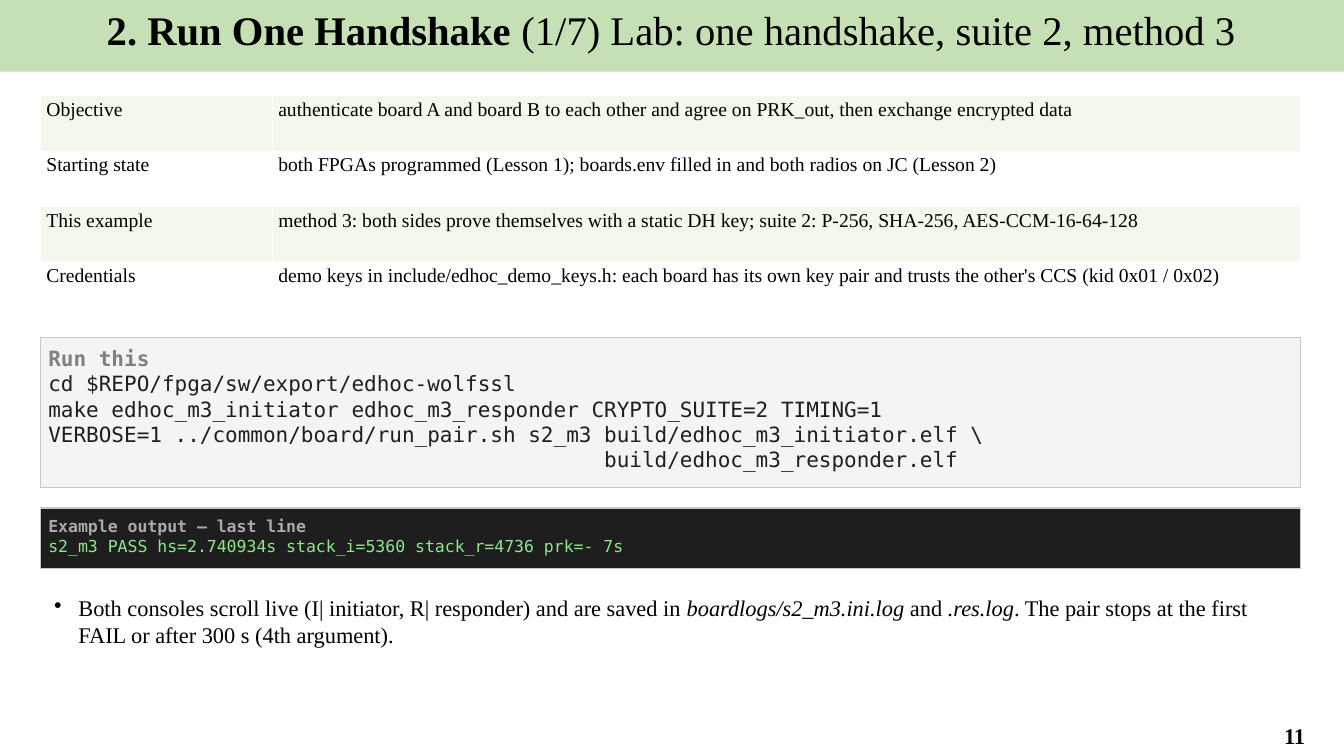
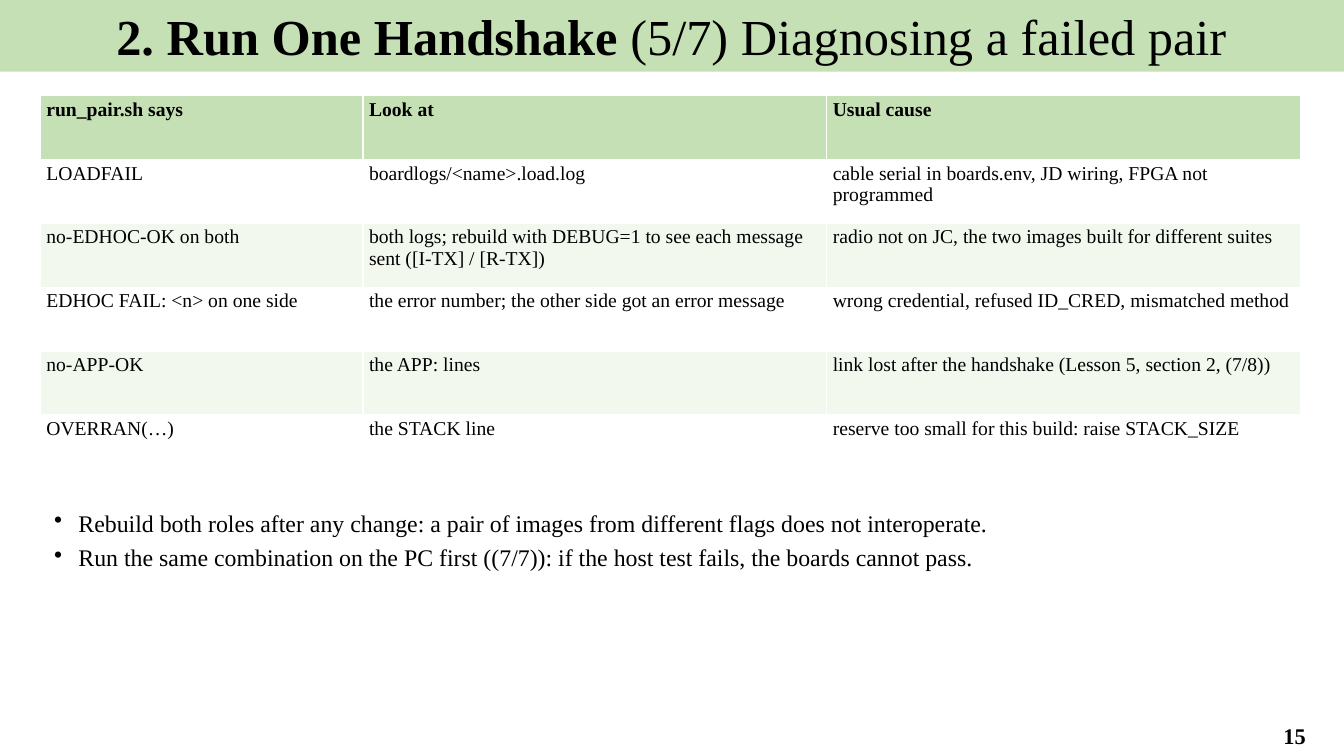
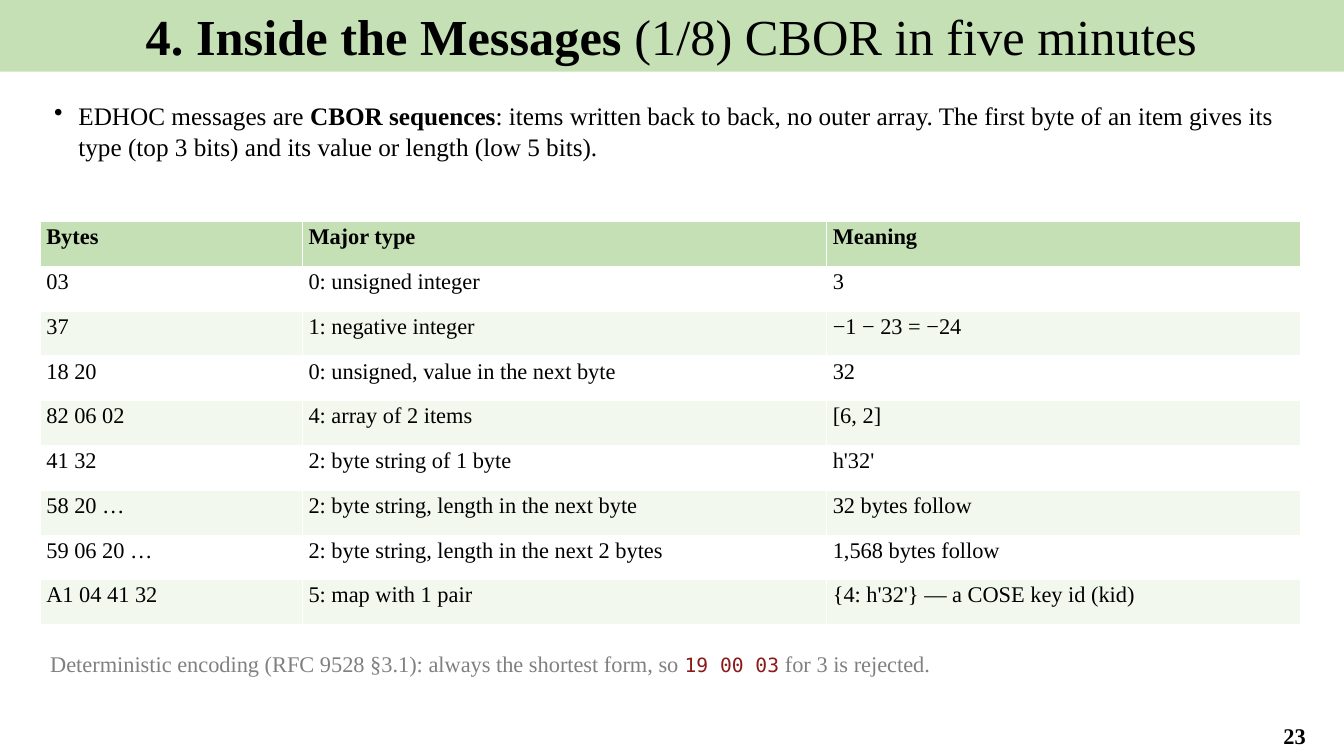
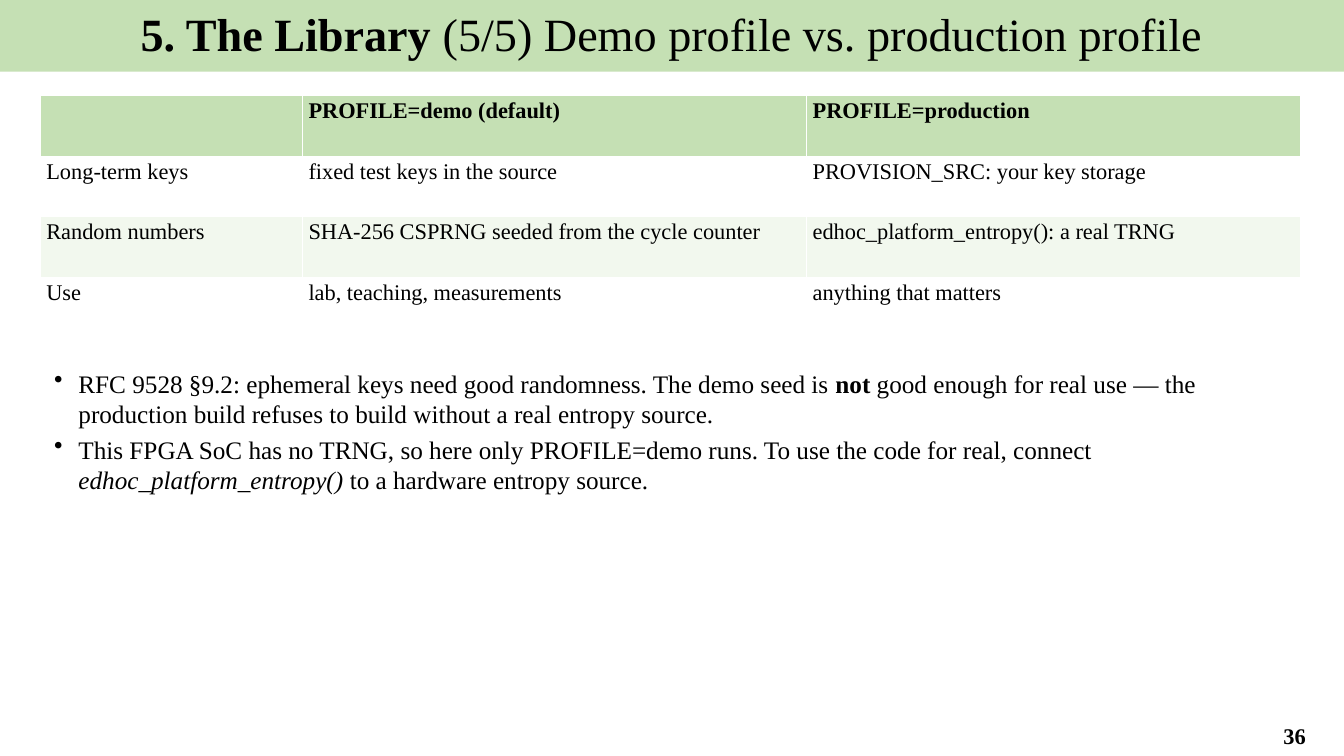
from dataclasses import dataclass

from lxml import etree
from pptx import Presentation
from pptx import util as u
from pptx.dml.color import RGBColor
from pptx.enum import shapes, text
from pptx.oxml.ns import qn

PX = 9144  # EMU per px, 100 px to the inch
WIDTH, HEIGHT = 1333, 750
LEFT, CONTENT_W = 40, 1250


@dataclass(frozen=True)
class Theme:
    # fonts
    serif: str = "Times New Roman"
    mono: str = "DejaVu Sans Mono"
    # colours
    ink: str = "000000"
    muted: str = "808080"
    inline_code: str = "8B1A1A"
    band: str = "C5E0B4"
    stripe: str = "F2F8EE"
    paper: str = "FFFFFF"
    box_line: str = "C8C8C8"
    # type sizes
    page: float = 16
    small: float = 14
    medium: float = 16
    large: float = 18


@dataclass(frozen=True)
class CodeStyle:
    fill: str
    label: str
    body: str
    size: float


T = Theme()
COMMAND = CodeStyle("F4F4F4", "808080", "1F1F1F", 15)
OUTPUT = CodeStyle("1E1E1E", "AAAAAA", "8BE98B", 11.8)


class Deck:
    def __init__(self):
        self.prs = Presentation()
        self.prs.slide_width, self.prs.slide_height = WIDTH * PX, HEIGHT * PX
        self.s = None

    # Text helpers
    def run(self, p, words, size, color=T.ink, font=T.serif, bold=False, italic=False):
        r = p.add_run()
        r.text = words
        f = r.font
        f.name, f.size, f.bold, f.italic = font, u.Pt(size), bold, italic
        f.color.rgb = RGBColor.from_string(color)

    def spans(self, p, parts, size, color=T.ink):
        """Plain strings, or (string, style) with style bold, italic or code."""
        for part in parts:
            words, style = (part, "") if isinstance(part, str) else part
            if style == "code":
                self.run(p, words, T.small, T.inline_code, T.mono)
            else:
                self.run(p, words, size, color,
                         bold=style == "bold", italic=style == "italic")

    def paragraphs(self, tf, count):
        return [tf.paragraphs[0]] + [tf.add_paragraph() for _ in range(count - 1)]

    # Containers
    def text_box(self, x, y, w, h):
        tf = self.s.shapes.add_textbox(x * PX, y * PX, w * PX, h * PX).text_frame
        tf.word_wrap = True
        return tf

    def rect(self, x, y, w, h, fill, line=None):
        sp = self.s.shapes.add_shape(shapes.MSO_SHAPE.RECTANGLE,
                                     x * PX, y * PX, w * PX, h * PX)
        sp.shadow.inherit = False
        sp.fill.solid()
        sp.fill.fore_color.rgb = RGBColor.from_string(fill)
        if line:
            sp.line.color.rgb = RGBColor.from_string(line)
            sp.line.width = u.Pt(0.75)
        else:
            sp.line.fill.background()
        tf = sp.text_frame
        tf.word_wrap = True
        tf.vertical_anchor = text.MSO_ANCHOR.TOP
        return tf

    # Slide elements
    def slide(self, section, topic, number, size=36):
        self.s = self.prs.slides.add_slide(self.prs.slide_layouts[6])
        p = self.rect(-1, 0, WIDTH + 1, 71, T.band).paragraphs[0]
        p.alignment = text.PP_ALIGN.CENTER
        self.spans(p, [(section + " ", "bold"), topic], size)

        tf = self.text_box(1235, 710, 98, 39)
        tf.vertical_anchor = text.MSO_ANCHOR.MIDDLE
        p = tf.paragraphs[0]
        p.alignment = text.PP_ALIGN.CENTER
        self.run(p, str(number), T.page, bold=True)

    def table(self, y, h, widths, rows, size, header=True):
        tbl = self.s.shapes.add_table(len(rows), len(widths), LEFT * PX, y * PX,
                                      CONTENT_W * PX, h * PX).table
        for col, w in zip(tbl.columns, widths):
            col.width = w * PX
        for i, row in enumerate(rows):
            is_head = header and i == 0
            fill = T.band if is_head else T.paper if i % 2 else T.stripe
            for j, words in enumerate(row):
                cell = tbl.cell(i, j)
                cell.margin_left = cell.margin_right = 6 * PX
                cell.margin_top = cell.margin_bottom = 3 * PX
                cell.fill.solid()
                cell.fill.fore_color.rgb = RGBColor.from_string(fill)
                if words:
                    self.run(cell.text_frame.paragraphs[0], words, size, bold=is_head)

    def code(self, y, h, label, lines, style):
        tf = self.rect(LEFT, y, CONTENT_W, h, style.fill, T.box_line)
        tf.margin_left = tf.margin_right = tf.margin_top = tf.margin_bottom = 8 * PX
        for i, (p, line) in enumerate(zip(self.paragraphs(tf, len(lines) + 1),
                                          [label, *lines])):
            p.alignment = text.PP_ALIGN.LEFT
            self.run(p, line, style.size, style.body if i else style.label,
                     T.mono, bold=i == 0)

    def bullets(self, y, h, items, size):
        tf = self.text_box(LEFT, y, CONTENT_W, h)
        for p, parts in zip(self.paragraphs(tf, len(items)), items):
            pPr = p._p.get_or_add_pPr()
            pPr.set("marL", str(28 * PX))
            pPr.set("indent", str(-24 * PX))
            etree.SubElement(pPr, qn("a:buChar")).set("char", "•")
            p.space_after = u.Pt(4)
            self.spans(p, parts, size)

    def note(self, y, h, parts):
        p = self.text_box(LEFT, y, CONTENT_W, h).paragraphs[0]
        self.spans(p, parts, T.medium, T.muted)


def main():
    d = Deck()

    # One handshake
    d.slide("2. Run One Handshake", "(1/7) Lab: one handshake, suite 2, method 3", 11, 29)
    d.table(95, 220, [230, 1020], [
        ("Objective", "authenticate board A and board B to each other and agree on "
                      "PRK_out, then exchange encrypted data"),
        ("Starting state", "both FPGAs programmed (Lesson 1); boards.env filled in "
                           "and both radios on JC (Lesson 2)"),
        ("This example", "method 3: both sides prove themselves with a static DH key; "
                         "suite 2: P-256, SHA-256, AES-CCM-16-64-128"),
        ("Credentials", "demo keys in include/edhoc_demo_keys.h: each board has its own "
                        "key pair and trusts the other's CCS (kid 0x01 / 0x02)"),
    ], T.small, header=False)
    d.code(335, 149, "Run this", [
        "cd $REPO/fpga/sw/export/edhoc-wolfssl",
        "make edhoc_m3_initiator edhoc_m3_responder CRYPTO_SUITE=2 TIMING=1",
        "VERBOSE=1 ../common/board/run_pair.sh s2_m3 build/edhoc_m3_initiator.elf \\",
        "                                            build/edhoc_m3_responder.elf",
    ], COMMAND)
    d.code(504, 60, "Example output — last line", [
        "s2_m3 PASS hs=2.740934s stack_i=5360 stack_r=4736 prk=- 7s",
    ], OUTPUT)
    d.bullets(585, 110, [
        ["Both consoles scroll live (I| initiator, R| responder) and are saved in ",
         ("boardlogs/s2_m3.ini.log", "italic"), " and ", (".res.log", "italic"),
         ". The pair stops at the first FAIL or after 300 s (4th argument)."],
    ], T.medium)

    # Diagnosing a failed pair
    d.slide("2. Run One Handshake", "(5/7) Diagnosing a failed pair", 15)
    d.table(95, 380, [320, 460, 470], [
        ("run_pair.sh says", "Look at", "Usual cause"),
        ("LOADFAIL", "boardlogs/<name>.load.log",
         "cable serial in boards.env, JD wiring, FPGA not programmed"),
        ("no-EDHOC-OK on both",
         "both logs; rebuild with DEBUG=1 to see each message sent ([I-TX] / [R-TX])",
         "radio not on JC, the two images built for different suites"),
        ("EDHOC FAIL: <n> on one side",
         "the error number; the other side got an error message",
         "wrong credential, refused ID_CRED, mismatched method"),
        ("no-APP-OK", "the APP: lines",
         "link lost after the handshake (Lesson 5, section 2, (7/8))"),
        ("OVERRAN(…)", "the STACK line",
         "reserve too small for this build: raise STACK_SIZE"),
    ], T.small)
    d.bullets(500, 180, [
        ["Rebuild both roles after any change: a pair of images from different flags "
         "does not interoperate."],
        ["Run the same combination on the PC first ((7/7)): if the host test fails, "
         "the boards cannot pass."],
    ], 17)

    # CBOR
    d.slide("4. Inside the Messages", "(1/8) CBOR in five minutes", 23)
    d.bullets(95, 120, [
        ["EDHOC messages are ", ("CBOR sequences", "bold"),
         ": items written back to back, no outer array. The first byte of an item gives "
         "its type (top 3 bits) and its value or length (low 5 bits)."],
    ], T.large)
    d.table(220, 400, [260, 520, 470], [
        ("Bytes", "Major type", "Meaning"),
        ("03", "0: unsigned integer", "3"),
        ("37", "1: negative integer", "−1 − 23 = −24"),
        ("18 20", "0: unsigned, value in the next byte", "32"),
        ("82 06 02", "4: array of 2 items", "[6, 2]"),
        ("41 32", "2: byte string of 1 byte", "h'32'"),
        ("58 20 …", "2: byte string, length in the next byte", "32 bytes follow"),
        ("59 06 20 …", "2: byte string, length in the next 2 bytes", "1,568 bytes follow"),
        ("A1 04 41 32", "5: map with 1 pair", "{4: h'32'} — a COSE key id (kid)"),
    ], T.medium)
    d.note(640, 60, [
        "Deterministic encoding (RFC 9528 §3.1): always the shortest form, so ",
        ("19 00 03", "code"), " for 3 is rejected."])

    # Profiles
    d.slide("5. The Library", "(5/5) Demo profile vs. production profile", 36, 33)
    d.table(95, 240, [260, 500, 490], [
        ("", "PROFILE=demo (default)", "PROFILE=production"),
        ("Long-term keys", "fixed test keys in the source",
         "PROVISION_SRC: your key storage"),
        ("Random numbers", "SHA-256 CSPRNG seeded from the cycle counter",
         "edhoc_platform_entropy(): a real TRNG"),
        ("Use", "lab, teaching, measurements", "anything that matters"),
    ], T.medium)
    d.bullets(360, 300, [
        ["RFC 9528 §9.2: ephemeral keys need good randomness. The demo seed is ",
         ("not", "bold"), " good enough for real use — the production build refuses to "
         "build without a real entropy source."],
        ["This FPGA SoC has no TRNG, so here only PROFILE=demo runs. To use the code "
         "for real, connect ", ("edhoc_platform_entropy()", "italic"),
         " to a hardware entropy source."],
    ], T.large)

    d.prs.save("out.pptx")


if __name__ == "__main__":
    main()
